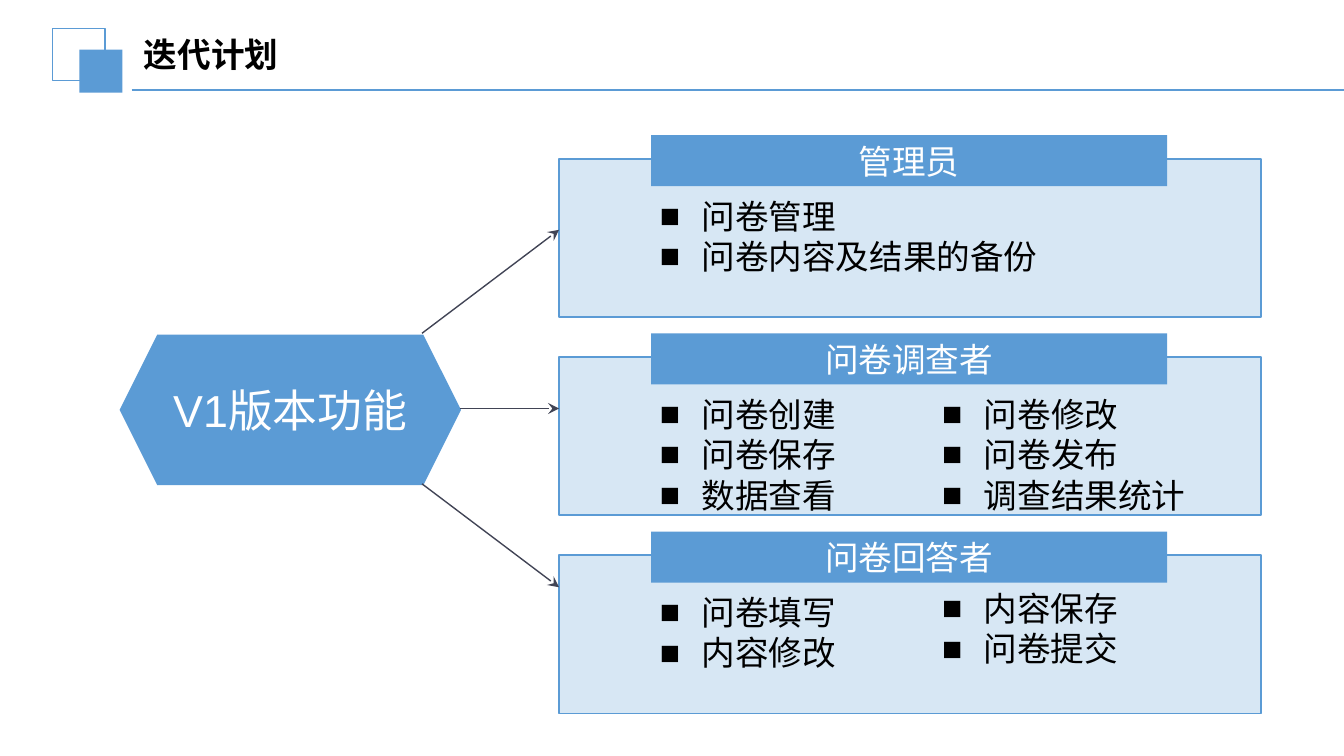
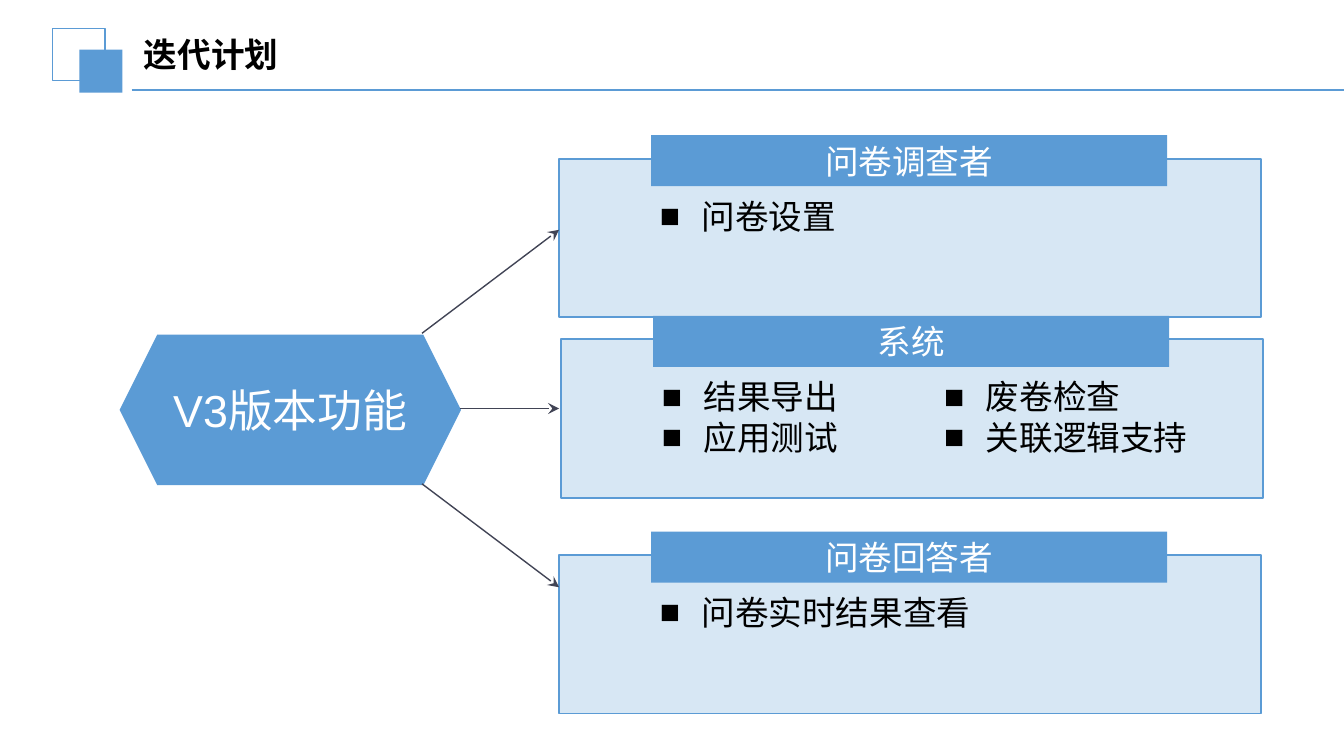
from dataclasses import dataclass

from lxml import etree
from pptx import Presentation
from pptx import util as u
from pptx.dml.color import RGBColor
from pptx.enum import shapes, text
from pptx.oxml.ns import qn

COLUMNS, ROWS = 100, 56.25
COMPARISON_LAYOUT = 4  # a title and four bodies


@dataclass(frozen=True)
class Theme:
    font: str = "Arial"
    accent: str = "5B9BD5"
    ink: str = "000000"
    paper: str = "FFFFFF"
    arrow: str = "414455"
    panel_opacity: int = 24
    title_size: int = 18
    body_size: int = 18
    hub_size: int = 24


@dataclass(frozen=True)
class Panel:
    """A headed box with one or two lists; shifts are in grid cells."""
    heading: str
    lists: list
    column_shift: float = 0
    row_shift: float = 0
    second_list_shift: float = 0


PLANS = {
    "V1版本功能": [
        Panel("管理员", [["问卷管理", "问卷内容及结果的备份"]]),
        Panel("问卷调查者", [["问卷创建", "问卷保存", "数据查看"],
                        ["问卷修改", "问卷发布", "调查结果统计"]]),
        Panel("问卷回答者", [["问卷填写", "内容修改"], ["内容保存", "问卷提交"]],
              second_list_shift=-0.3),
    ],
    "V3版本功能": [
        Panel("问卷调查者", [["问卷设置"]]),
        Panel("系统", [["结果导出", "应用测试"], ["废卷检查", "关联逻辑支持"]],
              column_shift=0.15, row_shift=-1.3),
        Panel("问卷回答者", [["问卷实时结果查看"]]),
    ],
}


def write_text(shape, lines, *, font, size, color, bold=False,
               align=text.PP_ALIGN.LEFT, anchor=text.MSO_ANCHOR.MIDDLE,
               spacing=1.0, insets=(0.07, 0.04), bullet=None):
    frame = shape.text_frame
    frame.word_wrap = True
    frame.auto_size = text.MSO_AUTO_SIZE.NONE
    frame.vertical_anchor = anchor
    frame.margin_left = frame.margin_right = u.Inches(insets[0])
    frame.margin_top = frame.margin_bottom = u.Inches(insets[1])
    frame.text = "\n".join(lines)
    for paragraph in frame.paragraphs:
        paragraph.alignment = align
        paragraph.line_spacing = spacing
        paragraph.space_before = paragraph.space_after = u.Pt(0)
        run_font = paragraph.runs[0].font
        run_font.name, run_font.size, run_font.bold = font, u.Pt(size), bold
        run_font.color.rgb = RGBColor.from_string(color)
        if bullet:
            add_bullet(paragraph, bullet, font, color)


def add_bullet(paragraph, bullet, font, color):
    paragraph.level = 1
    properties = paragraph._p.get_or_add_pPr()
    properties.set("marL", str(u.Inches(0.81)))
    properties.set("indent", str(u.Inches(-0.31)))
    bullet_color = etree.SubElement(properties, qn("a:buClr"))
    etree.SubElement(bullet_color, qn("a:srgbClr"), val=color)
    etree.SubElement(properties, qn("a:buFont"), typeface=font)
    etree.SubElement(properties, qn("a:buChar"), char=bullet)


class Deck:
    """Holds the theme and the slide being drawn; lengths are grid cells."""

    def __init__(self, theme):
        self.theme = theme
        self.presentation = Presentation()
        self.presentation.slide_width = u.Inches(10)
        self.presentation.slide_height = u.Inches(5.625)
        self.slide = None
        self.free_bodies = []

    def x(self, columns):
        return round(self.presentation.slide_width * columns / COLUMNS)

    def y(self, rows):
        return round(self.presentation.slide_height * rows / ROWS)

    def box(self, left, top, width, height):
        return self.x(left), self.y(top), self.x(width), self.y(height)

    def start_slide(self, title):
        layout = self.presentation.slide_layouts[COMPARISON_LAYOUT]
        self.slide = self.presentation.slides.add_slide(layout)
        self.free_bodies = list(self.slide.placeholders)[1:]
        self.shape(3.9, 2.1, 3.9, 3.9, line_width=0.75)
        self.shape(5.9, 3.7, 3.2, 3.2, fill=self.theme.accent)
        self.line((9.8, 6.7), (COLUMNS, 6.7), self.theme.accent, 1.25)
        self.title(title)

    def finish_slide(self):
        """Remove the bodies that no list has taken."""
        for body in self.free_bodies:
            body.element.getparent().remove(body.element)

    def place(self, shape, *box):
        """Move a placeholder to its box and to the front."""
        shape.left, shape.top, shape.width, shape.height = self.box(*box)
        shape.element.getparent().append(shape.element)

    def title(self, title):
        shape = self.slide.shapes.title
        self.place(shape, 9.7, 2.1, 35.6, 4.3)
        write_text(shape, [title], font=self.theme.font, bold=True,
                   size=self.theme.title_size, color=self.theme.ink,
                   spacing=0.9, insets=(0.1, 0.05))

    def shape(self, left, top, width, height, *, fill=None, opacity=None,
              line_width=None, label=None, size=None,
              kind=shapes.MSO_SHAPE.RECTANGLE):
        shape = self.slide.shapes.add_shape(
            kind, *self.box(left, top, width, height))
        shape.shadow.inherit = False
        if fill:
            shape.fill.solid()
            shape.fill.fore_color.rgb = RGBColor.from_string(fill)
        else:
            shape.fill.background()
        if opacity:
            color = shape.element.spPr.find(qn("a:solidFill"))[0]
            etree.SubElement(color, qn("a:alpha"), val=str(opacity * 1000))
        if line_width:
            shape.line.color.rgb = RGBColor.from_string(self.theme.accent)
            shape.line.width = u.Pt(line_width)
        else:
            shape.line.fill.background()
        if label:
            write_text(shape, [label], font=self.theme.font, size=size,
                       color=self.theme.paper, align=text.PP_ALIGN.CENTER)
        return shape

    def line(self, start, end, color, width, arrowhead=None):
        connector = self.slide.shapes.add_connector(
            shapes.MSO_CONNECTOR.STRAIGHT, self.x(start[0]), self.y(start[1]),
            self.x(end[0]), self.y(end[1]))
        connector.line.color.rgb = RGBColor.from_string(color)
        connector.line.width = u.Pt(width)
        if arrowhead:
            etree.SubElement(connector.line._get_or_add_ln(),
                             qn("a:tailEnd"), type=arrowhead)
        etree.SubElement(connector.element.spPr, qn("a:effectLst"))

    def bullets(self, left, top, width, items):
        """Fill the next free body, or a text box once all are taken."""
        box = left, top, width, 0.8 + 3 * len(items)
        if self.free_bodies:
            shape = self.free_bodies.pop(0)
            self.place(shape, *box)
        else:
            shape = self.slide.shapes.add_textbox(*self.box(*box))
        write_text(shape, items, font=self.theme.font,
                   size=self.theme.body_size, color=self.theme.ink,
                   anchor=text.MSO_ANCHOR.TOP, bullet="■")

    def panel(self, left, top, panel):
        left += panel.column_shift
        top += panel.row_shift
        self.shape(left, top, 52.2, 11.8, fill=self.theme.accent,
                   opacity=self.theme.panel_opacity, line_width=1)
        self.shape(left + 6.85, top - 1.75, 38.4, 3.8, fill=self.theme.accent,
                   label=panel.heading, size=self.theme.body_size)
        first, *second = panel.lists
        list_top = top + 2.35
        self.bullets(left + 1.8, list_top, 25.5 if second else 49.6, first)
        for items in second:
            self.bullets(left + 22.8, list_top + panel.second_list_shift,
                         29.4, items)

    def version_plan(self, version, panels):
        panel_left, first_top, pitch = 41.6, 11.8, 14.75
        for index, panel in enumerate(panels):
            self.panel(panel_left, first_top + index * pitch, panel)
        self.shape(8.9, 24.9, 25.4, 11.2, fill=self.theme.accent,
                   label=version, size=self.theme.hub_size,
                   kind=shapes.MSO_SHAPE.HEXAGON)
        middle = 30.4
        for start_column, start_rise, end_rise in (
                (31.4, -5.6, -13.3), (34.2, 0, 0), (31.4, 5.6, 13.3)):
            self.line((start_column, middle + start_rise),
                      (panel_left, middle + end_rise),
                      self.theme.arrow, 0.75, arrowhead="stealth")


def main():
    deck = Deck(Theme())
    for version, panels in PLANS.items():
        deck.start_slide("迭代计划")
        deck.version_plan(version, panels)
        deck.finish_slide()
    deck.presentation.save("out.pptx")


if __name__ == "__main__":
    main()
